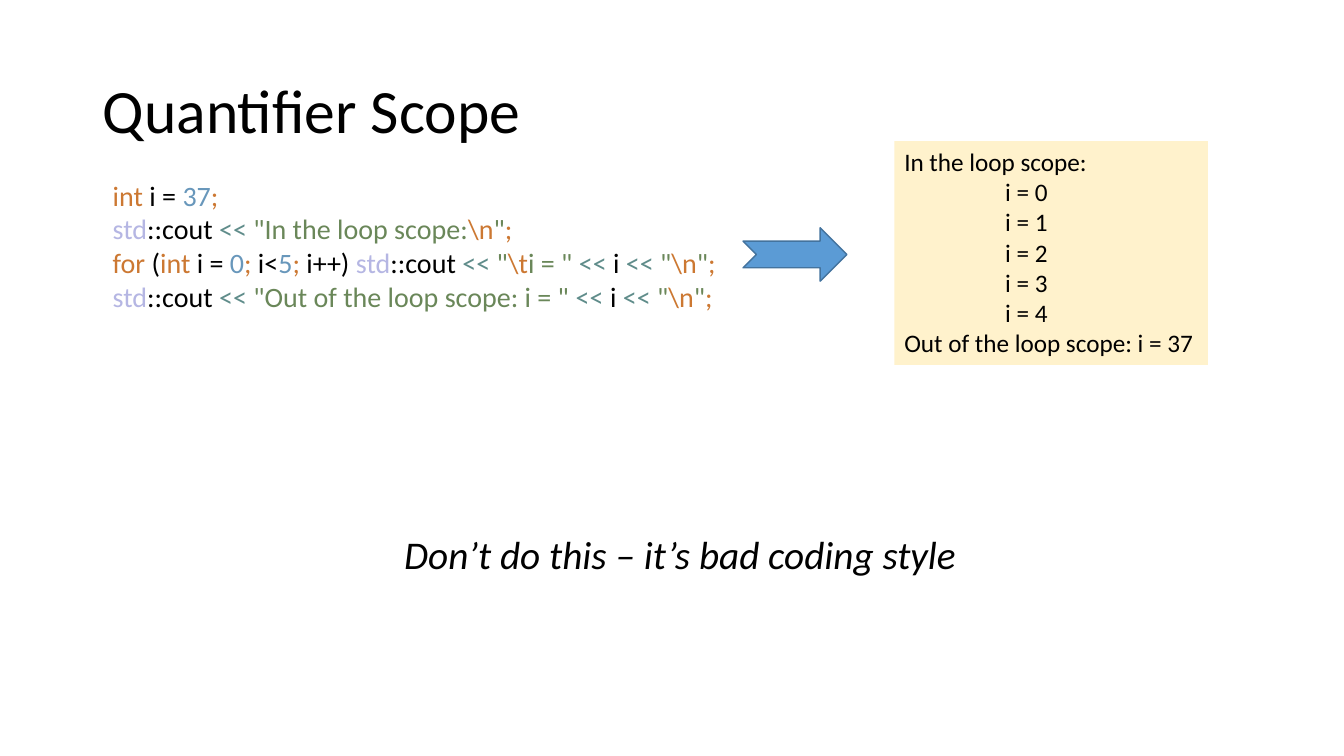
import pptx
import pptx.util
import pptx.dml.color
import pptx.enum.shapes
import pptx.enum.text

Inches, Pt = pptx.util.Inches, pptx.util.Pt
WIDTH, HEIGHT = 13.33, 7.5
FONT = "Calibri"
COLORS = {
    "text": "000000", "keyword": "CC7832", "number": "6897BB",
    "namespace": "B5B6E3", "operator": "5F8C8A", "string": "6A8759",
    "output": "FFF2CC", "arrow": "5B9BD5", "arrow_line": "43739E",
}

SHIFT = ("operator", "<< ")
COUT = [("namespace", "std"), ("text", "::cout "), SHIFT]
QUOTE = ("string", '"')
NEWLINE = ("keyword", r"\n")
END = ("keyword", ";")
NEXT = ("keyword", "; ")
INT_I = [("keyword", "int "), ("text", "i = ")]
PRINT_I = [SHIFT, ("text", "i "), SHIFT, QUOTE, NEWLINE, QUOTE, END]
CODE = [
    [*INT_I, ("number", "37"), END],
    [*COUT, ("string", '"In the loop scope:'), NEWLINE, QUOTE, END],
    [("keyword", "for "), ("text", "("), *INT_I, ("number", "0"), NEXT,
     ("text", "i<"), ("number", "5"), NEXT, ("text", "i++) "),
     *COUT, QUOTE, ("keyword", r"\t"), ("string", 'i = " '), *PRINT_I],
    [*COUT, ("string", '"Out of the loop scope: i = " '), *PRINT_I],
]
OUTPUT = ["In the loop scope:", *(f"\ti = {i}" for i in range(5)),
          "Out of the loop scope: i = 37"]


def rgb(name):
    return pptx.dml.color.RGBColor.from_string(COLORS[name])


def add_run(p, text, size, color="text", italic=False):
    r = p.add_run()
    r.text = text
    formats = {"name": FONT, "size": Pt(size), "italic": italic}
    for key, value in formats.items():
        setattr(r.font, key, value)
    r.font.color.rgb = rgb(color)


def add_text_box(s, box):
    sp = s.shapes.add_textbox(*map(Inches, box))
    sp.text_frame.word_wrap = False
    sp.text_frame.auto_size = pptx.enum.text.MSO_AUTO_SIZE.SHAPE_TO_FIT_TEXT
    return sp


def add_title(s, box, text):
    sp = s.shapes.title
    for key, value in zip(("left", "top", "width", "height"), box):
        setattr(sp, key, Inches(value))
    tf = sp.text_frame
    tf.auto_size = pptx.enum.text.MSO_AUTO_SIZE.NONE
    tf.vertical_anchor = pptx.enum.text.MSO_ANCHOR.MIDDLE
    p = tf.paragraphs[0]
    p.alignment = pptx.enum.text.PP_ALIGN.LEFT
    p.line_spacing = 0.9
    add_run(p, text, 44)


def add_code(s, box, lines):
    p = add_text_box(s, box).text_frame.paragraphs[0]
    for i, line in enumerate(lines):
        if i:
            p.add_line_break()
        for color, text in line:
            add_run(p, text, 20, color)


def add_output(s, box, lines):
    sp = add_text_box(s, box)
    sp.fill.solid()
    sp.fill.fore_color.rgb = rgb("output")
    tf = sp.text_frame
    for i, line in enumerate(lines):
        p = tf.add_paragraph() if i else tf.paragraphs[0]
        p._p.get_or_add_pPr().set("defTabSz", str(Inches(1)))
        add_run(p, line, 18)


def add_arrow(s, box):
    sp = s.shapes.add_shape(
        pptx.enum.shapes.MSO_SHAPE.NOTCHED_RIGHT_ARROW, *map(Inches, box))
    sp.shadow.inherit = False
    sp.fill.solid()
    sp.fill.fore_color.rgb = rgb("arrow")
    sp.line.color.rgb = rgb("arrow_line")
    sp.line.width = Pt(1)


def add_remark(s, box, text):
    p = add_text_box(s, box).text_frame.paragraphs[0]
    add_run(p, text, 28, italic=True)


def main():
    prs = pptx.Presentation()
    prs.slide_width, prs.slide_height = Inches(WIDTH), Inches(HEIGHT)
    s = prs.slides.add_slide(prs.slide_layouts.get_by_name("Title Only"))
    add_title(s, (0.92, 0.4, 11.5, 1.45), "Quantifier Scope")
    add_code(s, (1.02, 1.72, 6.24, 1.45), CODE)
    add_output(s, (8.87, 1.4, 3.11, 2.22), OUTPUT)
    add_arrow(s, (7.37, 2.26, 1.03, 0.53))
    add_remark(s, (3.91, 5.21, 5.73, 0.57),
               "Don’t do this – it’s bad coding style")
    prs.save("out.pptx")


if __name__ == "__main__":
    main()
